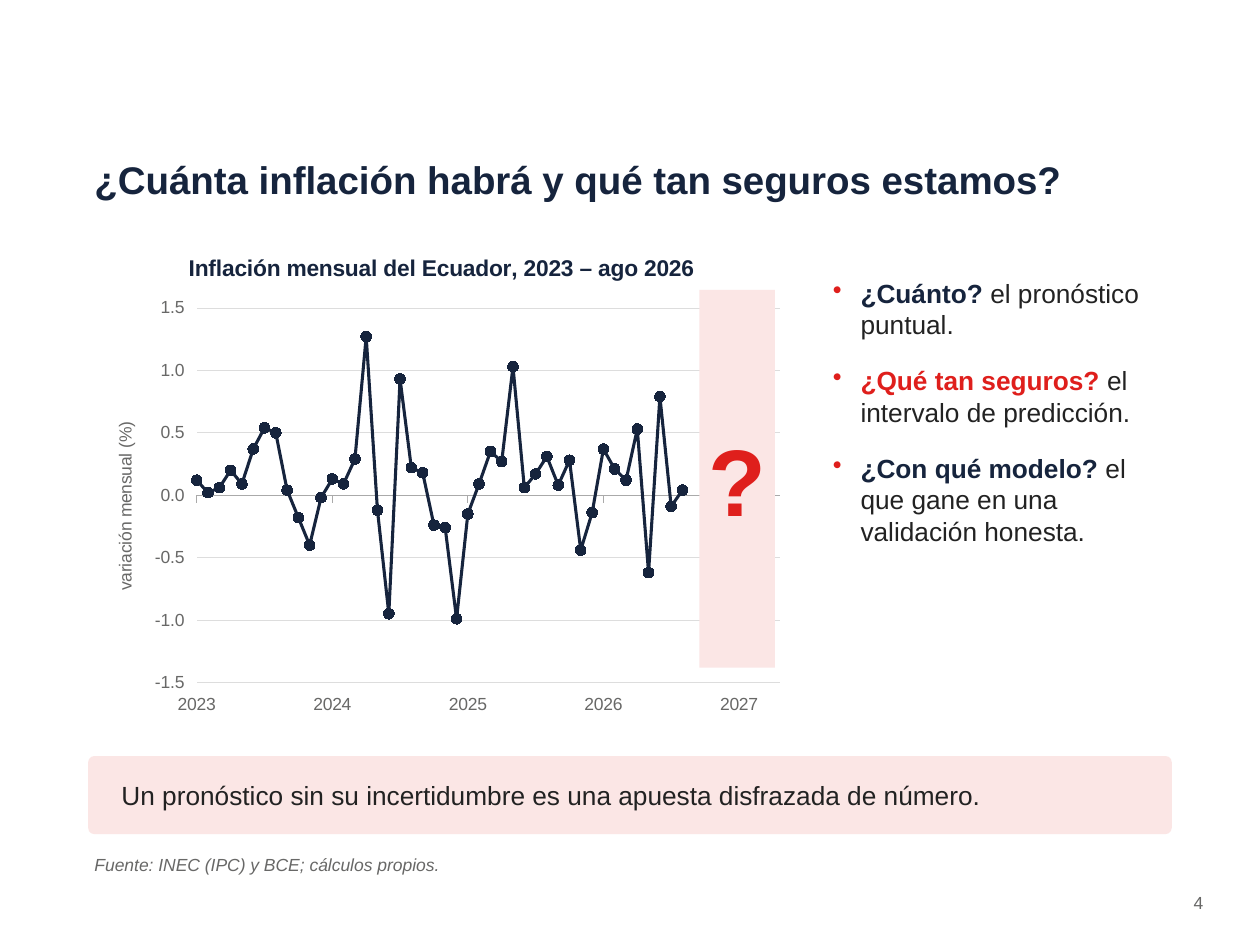
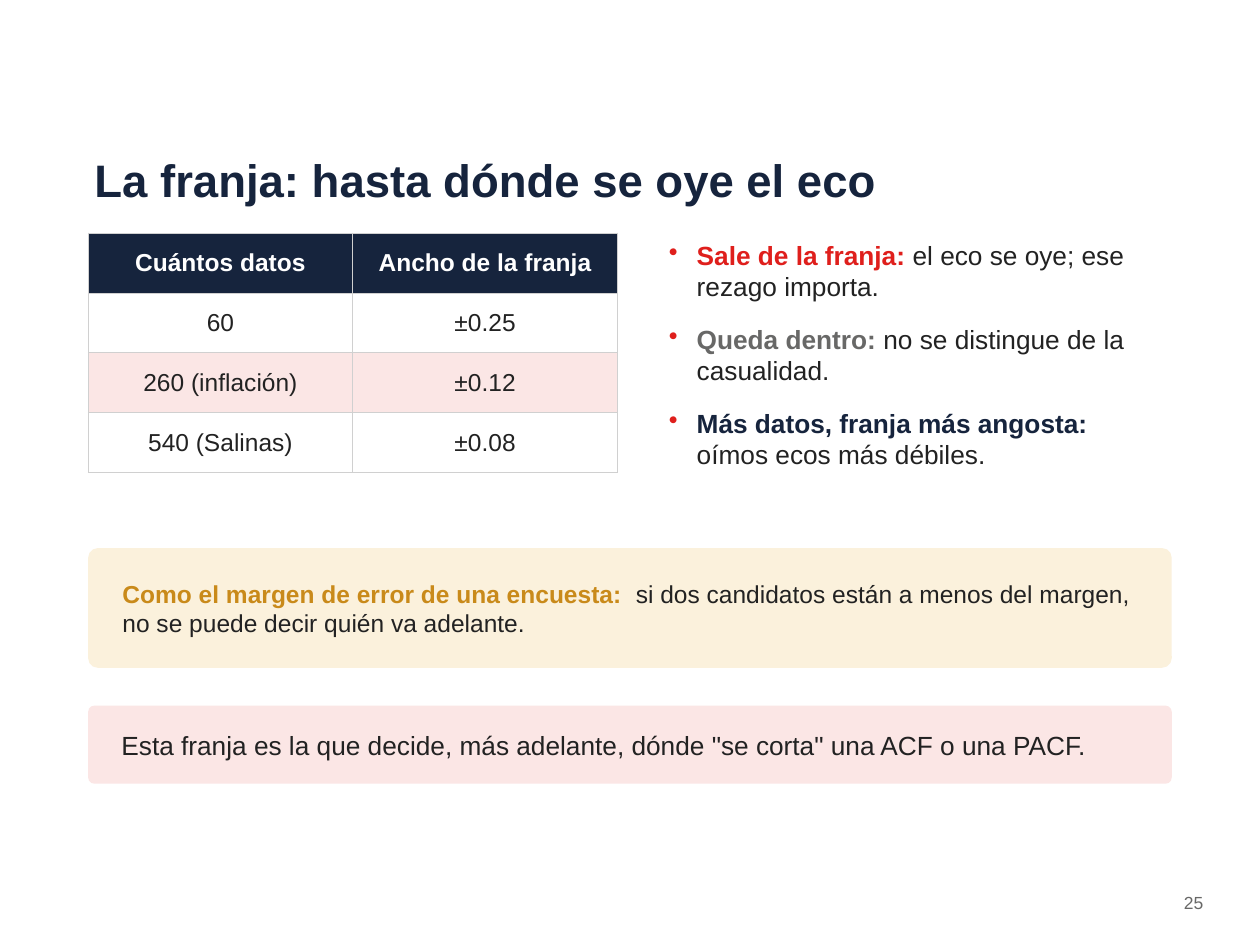
from lxml import etree
from pptx import Presentation
from pptx.chart.data import XyChartData
from pptx.dml.color import RGBColor
from pptx.enum.chart import XL_CHART_TYPE, XL_MARKER_STYLE, XL_TICK_LABEL_POSITION, XL_TICK_MARK
from pptx.enum.shapes import MSO_SHAPE
from pptx.enum.text import MSO_ANCHOR, PP_ALIGN
from pptx.oxml.ns import qn
from pptx.util import Inches, Pt

LEFT, CENTER, RIGHT = PP_ALIGN.LEFT, PP_ALIGN.CENTER, PP_ALIGN.RIGHT
TOP, MIDDLE = MSO_ANCHOR.TOP, MSO_ANCHOR.MIDDLE
RECTANGLE, ROUNDED = MSO_SHAPE.RECTANGLE, MSO_SHAPE.ROUNDED_RECTANGLE
SCATTER_LINES = XL_CHART_TYPE.XY_SCATTER_LINES
CIRCLE, LABELS_LOW = XL_MARKER_STYLE.CIRCLE, XL_TICK_LABEL_POSITION.LOW
TICK_OUT, TICK_NONE = XL_TICK_MARK.OUTSIDE, XL_TICK_MARK.NONE

# Shared look
FONT = "Arial"
NAVY, RED, GREY, INK, GOLD = "16243D", "DF1F1C", "686867", "222222", "C98A1A"
PINK, CREAM, WHITE = "FBE6E5", "FBF1DC", "FFFFFF"
BORDER, GRID, AXIS = "D0D0D0", "DDDDDD", "AAAAAA"
MARGIN, CONTENT_WIDTH, CONTENT_TOP = 0.7, 8.6, 1.85

# Slide 1 content
FORECAST = {
    "title": "¿Cuánta inflación habrá y qué tan seguros estamos?",
    "chart_title": "Inflación mensual del Ecuador, 2023 – ago 2026",
    "axis_title": "variación mensual (%)",
    "bullets": [
        ("¿Cuánto? ", NAVY, "el pronóstico puntual."),
        ("¿Qué tan seguros? ", RED, "el intervalo de predicción."),
        ("¿Con qué modelo? ", NAVY, "el que gane en una validación honesta."),
    ],
    "message": "Un pronóstico sin su incertidumbre es una apuesta disfrazada de número.",
    "source": "Fuente: INEC (IPC) y BCE; cálculos propios.",
}
FIRST_YEAR = 2023
MONTHLY_INFLATION = [
    0.12, 0.02, 0.06, 0.2, 0.09, 0.37, 0.54, 0.5, 0.04, -0.18, -0.4, -0.02,
    0.13, 0.09, 0.29, 1.27, -0.12, -0.95, 0.93, 0.22, 0.18, -0.24, -0.26, -0.99,
    -0.15, 0.09, 0.35, 0.27, 1.03, 0.06, 0.17, 0.31, 0.08, 0.28, -0.44, -0.14,
    0.37, 0.21, 0.12, 0.53, -0.62, 0.79, -0.09, 0.04,
]

# Slide 2 content
BAND = {
    "title": "La franja: hasta dónde se oye el eco",
    "table": [
        ("Cuántos datos", "Ancho de la franja"),
        ("60", "±0.25"),
        ("260 (inflación)", "±0.12"),
        ("540 (Salinas)", "±0.08"),
    ],
    "bullets": [
        ("Sale de la franja: ", RED, "el eco se oye; ese rezago importa."),
        ("Queda dentro: ", GREY, "no se distingue de la casualidad."),
        ("Más datos, franja más angosta: ", NAVY, "oímos ecos más débiles."),
    ],
    "analogy": ("Como el margen de error de una encuesta:  ",
                "si dos candidatos están a menos del margen, no se puede decir quién va adelante."),
    "message": 'Esta franja es la que decide, más adelante, dónde "se corta" una ACF o una PACF.',
}
ROW_FILLS = [NAVY, WHITE, PINK, WHITE]


def color(hex_text):
    return RGBColor.from_string(hex_text)


def style_font(font, size, ink, bold=False, italic=False):
    font.name, font.size, font.bold, font.italic = FONT, Pt(size), bold, italic
    font.color.rgb = color(ink)


def write(para, text, size=15, ink=INK, bold=False, italic=False, align=LEFT, after=4):
    """Append one formatted span to a paragraph."""
    span = para.add_run()
    span.text = text
    style_font(span.font, size, ink, bold, italic)
    para.alignment, para.space_after = align, Pt(after)


def set_frame(frame, anchor=TOP, side=0.05, edge=0.03):
    frame.word_wrap, frame.vertical_anchor = True, anchor
    frame.margin_left = frame.margin_right = Inches(side)
    frame.margin_top = frame.margin_bottom = Inches(edge)
    return frame.paragraphs[0]


def add_text(page, area, text, anchor=TOP, **look):
    box = page.shapes.add_textbox(*map(Inches, area))
    write(set_frame(box.text_frame, anchor), text, **look)


def add_panel(page, area, fill, shape=ROUNDED, side=0.25):
    """Draw a filled panel and return its first paragraph."""
    panel = page.shapes.add_shape(shape, *map(Inches, area))
    panel.shadow.inherit = False
    panel.fill.solid()
    panel.fill.fore_color.rgb = color(fill)
    panel.line.fill.background()
    if shape == ROUNDED:
        panel.adjustments[0] = 0.08
    return set_frame(panel.text_frame, MIDDLE, side)


def add_message(page, top, text):
    write(add_panel(page, (MARGIN, top, CONTENT_WIDTH, 0.62), PINK), text)


def add_bullets(page, area, items, after):
    frame = page.shapes.add_textbox(*map(Inches, area)).text_frame
    para = set_frame(frame, edge=0.05)
    for index, (lead, ink, rest) in enumerate(items):
        if index:
            para = frame.add_paragraph()
        settings = para._p.get_or_add_pPr()
        settings.set("marL", str(Inches(0.28)))
        settings.set("indent", str(Inches(-0.22)))
        tint = etree.SubElement(settings, qn("a:buClr"))
        etree.SubElement(tint, qn("a:srgbClr"), val=RED)
        etree.SubElement(settings, qn("a:buChar"), char="•")
        write(para, lead, ink=ink, bold=True, after=after)
        write(para, rest, after=after)


def add_page(deck, title, title_size, number):
    page = deck.slides.add_slide(deck.slide_layouts[6])
    add_text(page, (MARGIN, 1.05, CONTENT_WIDTH, 0.75), title, MIDDLE,
             size=title_size, ink=NAVY, bold=True)
    add_text(page, (9, 7.05, 0.6, 0.3), number, size=10, ink=GREY, align=RIGHT)
    return page


def style_axis(axis, low, high, step, number_format):
    axis.minimum_scale, axis.maximum_scale, axis.major_unit = low, high, step
    axis.major_tick_mark, axis.minor_tick_mark = TICK_OUT, TICK_NONE
    axis.has_minor_gridlines = False
    labels = axis.tick_labels
    labels.number_format, labels.number_format_is_linked = number_format, False
    style_font(labels.font, 10, GREY)


def add_inflation_chart(page):
    data = XyChartData()
    points = data.add_series("Inflación mensual")
    for month, value in enumerate(MONTHLY_INFLATION):
        points.add_data_point(round(FIRST_YEAR + month / 12, 3), value)
    area = map(Inches, (MARGIN, CONTENT_TOP, 5.6, 3.9))
    chart = page.shapes.add_chart(SCATTER_LINES, *area, data).chart
    chart.has_legend = False
    chart.font.name, chart.font.size = FONT, Pt(10)
    chart.has_title = True
    chart.chart_title.include_in_layout = False
    write(chart.chart_title.text_frame.paragraphs[0], FORECAST["chart_title"],
          size=13, ink=NAVY, bold=True, align=CENTER, after=0)

    # Axes
    years, rates = chart.category_axis, chart.value_axis
    style_axis(years, FIRST_YEAR, 2027.3, 1, "0")
    years.tick_label_position = LABELS_LOW
    years.has_major_gridlines = False
    years.format.line.color.rgb = color(AXIS)
    years.format.line.width = Pt(0.75)
    style_axis(rates, -1.5, 1.5, 0.5, "0.0")
    rates.format.line.fill.background()
    rates.has_major_gridlines = True
    rates.major_gridlines.format.line.color.rgb = color(GRID)
    rates.major_gridlines.format.line.width = Pt(0.5)
    rates.has_title = True
    write(rates.axis_title.text_frame.paragraphs[0], FORECAST["axis_title"],
          size=10, ink=GREY, align=CENTER, after=0)

    # Series
    series = chart.plots[0].series[0]
    series.smooth = False
    series.format.line.color.rgb = color(NAVY)
    series.format.line.width = Pt(1.75)
    marker = series.marker
    marker.style, marker.size = CIRCLE, 6
    marker.format.fill.solid()
    marker.format.fill.fore_color.rgb = color(NAVY)
    marker.format.line.color.rgb = color(NAVY)


def add_borders(cell):
    settings = cell._tc.get_or_add_tcPr()
    for position, side in enumerate(("lnL", "lnR", "lnT", "lnB")):
        line = etree.Element(qn(f"a:{side}"), w=str(Pt(0.5)))
        paint = etree.SubElement(line, qn("a:solidFill"))
        etree.SubElement(paint, qn("a:srgbClr"), val=BORDER)
        settings.insert(position, line)


def add_width_table(page, rows):
    area = map(Inches, (MARGIN, CONTENT_TOP, 4.2, 1.9))
    table = page.shapes.add_table(len(rows), len(rows[0]), *area).table
    table.horz_banding = False
    for row, (texts, fill) in enumerate(zip(rows, ROW_FILLS)):
        header = row == 0
        for column, text in enumerate(texts):
            cell = table.cell(row, column)
            cell.fill.solid()
            cell.fill.fore_color.rgb = color(fill)
            cell.vertical_anchor = MIDDLE
            cell.margin_left = cell.margin_right = Inches(0.06)
            cell.margin_top = cell.margin_bottom = Inches(0.03)
            write(cell.text_frame.paragraphs[0], text, size=14, bold=header,
                  ink=WHITE if header else INK, align=CENTER, after=0)
            add_borders(cell)


def build_forecast(deck):
    page = add_page(deck, FORECAST["title"], 22, "4")
    add_inflation_chart(page)
    unknown = add_panel(page, (5.55, 2.3, 0.6, 3), PINK, RECTANGLE, side=0.05)
    write(unknown, "?", size=54, ink=RED, bold=True, align=CENTER)
    add_bullets(page, (6.5, 2.15, 2.8, 3.6), FORECAST["bullets"], after=14)
    add_message(page, 6, FORECAST["message"])
    add_text(page, (MARGIN, 6.75, CONTENT_WIDTH, 0.3), FORECAST["source"],
             size=10, ink=GREY, italic=True)


def build_band(deck):
    page = add_page(deck, BAND["title"], 26, "25")
    add_width_table(page, BAND["table"])
    add_bullets(page, (5.2, CONTENT_TOP, 4.1, 2.4), BAND["bullets"], after=12)
    analogy = add_panel(page, (MARGIN, 4.35, CONTENT_WIDTH, 0.95), CREAM)
    lead, rest = BAND["analogy"]
    write(analogy, lead, size=14, ink=GOLD, bold=True)
    write(analogy, rest, size=14)
    add_message(page, 5.6, BAND["message"])


def main():
    deck = Presentation()
    deck.slide_width, deck.slide_height = Inches(10), Inches(7.5)
    build_forecast(deck)
    build_band(deck)
    deck.save("out.pptx")


if __name__ == "__main__":
    main()
